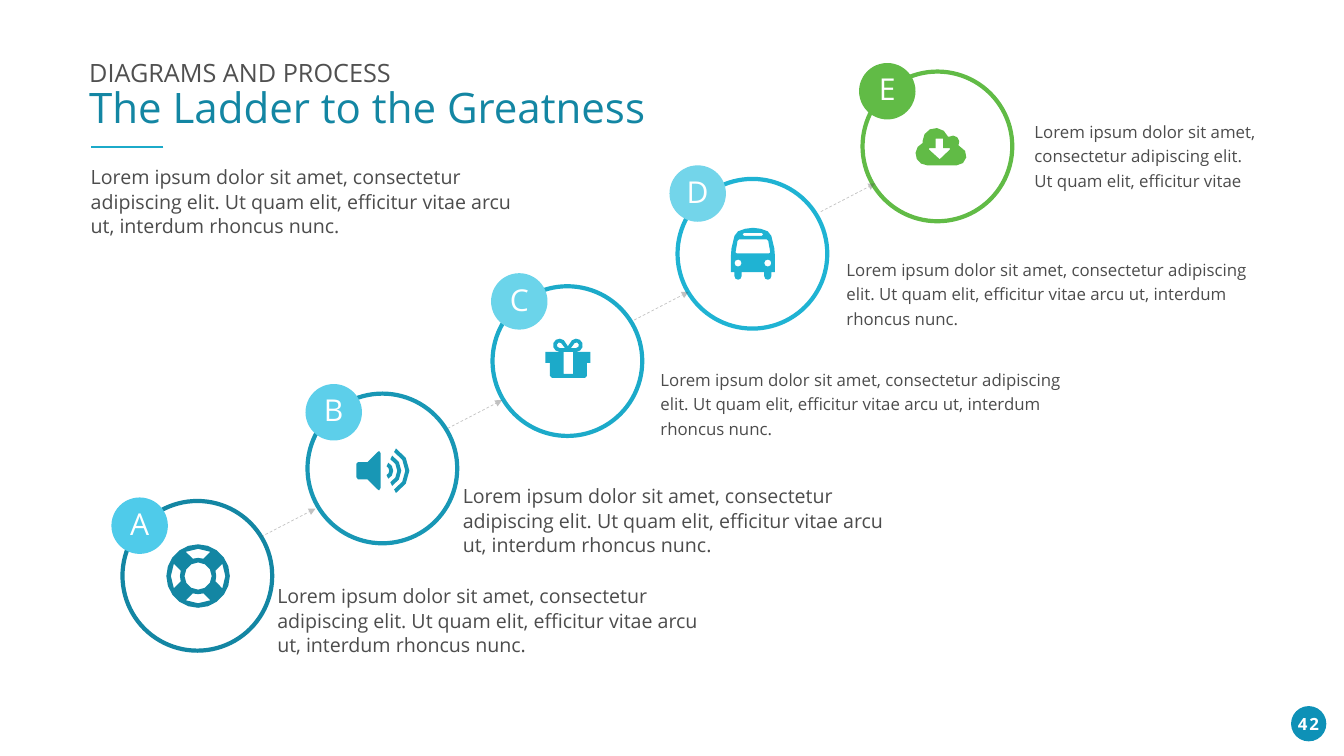
from math import cos, radians, sin

from lxml.etree import SubElement
from pptx import Presentation
from pptx.dml.color import RGBColor
from pptx.enum.dml import MSO_LINE
from pptx.enum.shapes import MSO_CONNECTOR, MSO_SHAPE
from pptx.enum.text import MSO_ANCHOR, MSO_AUTO_SIZE, PP_ALIGN
from pptx.oxml.ns import qn
from pptx.util import Inches, Pt

FONT = "Open Sans"
GREY, BODY_GREY, WHITE = "505050", "4C4C4C", "FFFFFF"
INTRO = ("Lorem ipsum dolor sit amet, consectetur adipiscing elit. "
         "Ut quam elit, efficitur vitae arcu ut, interdum rhoncus nunc.")
SHORT = "Lorem ipsum dolor sit amet, consectetur adipiscing elit. Ut quam elit, efficitur vitae"
RING, BADGE = 2.97, 1.12
FIRST_RING, RING_STEP = (2.43, 9.94), (3.67, -2.13)
FIRST_ARROW, ARROW_STEP, ARROW_REACH = (5.18, 10.65), (3.7, -2.15), (1.08, -0.56)


def arc(x, y, radius, start=0, end=360, count=4):
    """Return points on an arc, with angles running clockwise from the right."""
    angles = [radians(start + (end - start) * i / count) for i in range(count + 1)]
    return [(x + radius * cos(a), y + radius * sin(a)) for a in angles]


def disc(x, y, radius, count):
    """Return the points of a full circle without repeating the first."""
    return arc(x, y, radius, count=count)[:-1]


def band(x, y, outer, inner, middle, outer_half, inner_half, count):
    """Return the outline of a piece of a ring."""
    return (arc(x, y, outer, middle - outer_half, middle + outer_half, count)
            + arc(x, y, inner, middle + inner_half, middle - inner_half, count))


def mirror(points, axis):
    """Return points reflected across a vertical axis."""
    return [(2 * axis - x, y) for x, y in points]


BOW_AXIS, BUS_AXIS = 11.265, 14.935
bow = [arc(11.1, 6.85, 0.13, 90, 310, 6) + [(BOW_AXIS, 6.87), (BOW_AXIS, 6.98)],
       arc(11.1, 6.85, 0.055, 90, 300) + [(11.21, 6.91)]]
bus_half = [(14.94, 4.52), (14.78, 4.54), (14.64, 4.59), (14.57, 4.68), (14.51, 4.93),
            (14.5, 5.06), (14.5, 5.4), (14.57, 5.4), (14.57, 5.48), (14.59, 5.53),
            (14.64, 5.55), (14.69, 5.53), (14.71, 5.48), (14.71, 5.4)]

lifebuoy = [disc(3.93, 11.43, 0.63, 20), disc(3.93, 11.43, 0.27, 12)] + [
    band(3.93, 11.43, 0.54, 0.36, middle, 27, 17, 2) for middle in (0, 90, 180, 270)]
speaker = [[(7.07, 9.2), (7.1, 9.17), (7.29, 9.17), (7.49, 8.97), (7.52, 8.95), (7.55, 8.99),
            (7.55, 9.68), (7.52, 9.73), (7.49, 9.71), (7.29, 9.51), (7.1, 9.51), (7.07, 9.47)]] + [
    band(7.62, 9.34, radius, radius - 0.08, 0, 62, 62, 4) for radius in (0.18, 0.34, 0.5)]
gift = [[(10.82, 6.98), (11.71, 6.98), (11.71, 7.2), (11.64, 7.2), (11.64, 7.46), (11.6, 7.5),
         (10.95, 7.5), (10.91, 7.46), (10.91, 7.2), (10.82, 7.2)],
        [(11.18, 6.98), (11.37, 6.98), (11.37, 7.42), (11.18, 7.42)],
        *bow, *(mirror(part, BOW_AXIS) for part in bow)]
bus = [bus_half + mirror(bus_half[1:], BUS_AXIS)[::-1],
       [(14.66, 4.75), (15.21, 4.75), (15.24, 4.78), (15.28, 5.01), (15.25, 5.03),
        (14.62, 5.03), (14.59, 5.01), (14.63, 4.78)],
       arc(14.76, 4.65, 0.03, 90, 270, 2) + arc(15.11, 4.65, 0.03, -90, 90, 2),
       disc(14.64, 5.22, 0.07, 8), disc(15.23, 5.22, 0.07, 8)]
cloud = [arc(18.39, 3.05, 0.23, 90, 247, 5) + arc(18.56, 2.8, 0.26, 180, 340, 5)
         + arc(18.9, 2.82, 0.13, 235, 390) + arc(18.98, 3.09, 0.19, 290, 450),
         [(18.56, 2.75), (18.71, 2.75), (18.71, 2.94), (18.84, 2.94), (18.84, 2.97),
          (18.64, 3.16), (18.43, 2.97), (18.43, 2.94), (18.56, 2.94)]]

STEPS = [
    {"letter": "A", "color": "1386A3", "badge": ("4FCBEA", 2.21, 9.87), "icon": lifebuoy,
     "text": INTRO, "size": 28, "place": (5.5, 11.63, 8.52, 1.34)},
    {"letter": "B", "color": "1897B5", "badge": ("5DCFEA", 6.06, 7.62), "icon": speaker,
     "text": INTRO, "size": 28, "place": (9.18, 9.65, 8.52, 1.34)},
    {"letter": "C", "color": "1CAAC9", "badge": ("6BD4EA", 9.74, 5.42), "icon": gift,
     "text": INTRO, "size": 24, "place": (13.1, 7.3, 8.52, 1.34)},
    {"letter": "D", "color": "1FB3D3", "badge": ("73D5EA", 13.28, 3.28), "icon": bus,
     "text": INTRO, "size": 24, "place": (16.79, 5.12, 8.19, 1.34)},
    {"letter": "E", "color": "61BB46", "badge": ("61BB46", 17.04, 1.25), "icon": cloud,
     "text": SHORT, "size": 24, "place": (20.52, 2.38, 4.47, 1.34)},
]


def paint(target, color, alpha=None):
    """Give a fill a solid colour and an optional opacity in percent."""
    target.solid()
    target.fore_color.rgb = RGBColor.from_string(color)
    if alpha:
        for node in target._xPr.iter(qn("a:srgbClr")):
            SubElement(node, qn("a:alpha"), val=str(alpha * 1000))


def write(frame, lines, size=28, color=BODY_GREY, bold=False, align=PP_ALIGN.LEFT,
          anchor=MSO_ANCHOR.MIDDLE, spacing=Pt(35), wrap=True, inset=(0, 0), tracking=0):
    """Fill a text frame with (text, size, colour) lines or one plain string."""
    if isinstance(lines, str):
        lines = [(lines, size, color)]
    frame.word_wrap, frame.vertical_anchor = wrap, anchor
    frame.auto_size = MSO_AUTO_SIZE.NONE
    frame.margin_left = frame.margin_right = Inches(inset[0])
    frame.margin_top = frame.margin_bottom = Inches(inset[1])
    for i, (text, points, shade) in enumerate(lines):
        paragraph = frame.add_paragraph() if i else frame.paragraphs[0]
        paragraph.alignment, paragraph.line_spacing = align, spacing
        paragraph.space_before = Pt(0)
        run = paragraph.add_run()
        run.text = text
        run.font.name, run.font.size, run.font.bold = FONT, Pt(points), bold
        run.font.color.rgb = RGBColor.from_string(shade)
        if tracking:
            run.font._element.set("spc", str(tracking * 100))


def add_circle(shapes, left, top, size, fill, alpha=None, line=None):
    """Add a circle with an optional outline."""
    circle = shapes.add_shape(MSO_SHAPE.OVAL, *map(Inches, (left, top, size, size)))
    circle.shadow.inherit = False
    paint(circle.fill, fill, alpha)
    if line:
        paint(circle.line.fill, line)
        circle.line.width = Pt(6)
    else:
        circle.line.fill.background()
    return circle


def add_line(shapes, start, end, color, width, arrow=False):
    """Add a straight line, or a faint dashed arrow."""
    line = shapes.add_connector(MSO_CONNECTOR.STRAIGHT, *map(Inches, (*start, *end)))
    paint(line.line.fill, color, 34 if arrow else None)
    line.line.width = Pt(width)
    if arrow:
        line.line.dash_style = MSO_LINE.DASH
        SubElement(line.line._get_or_add_ln(), qn("a:tailEnd"), type="triangle", w="lg", len="lg")
    SubElement(line._element.spPr, qn("a:effectLst"))


def add_icon(shapes, outlines, color):
    """Add one filled freeform made of several closed outlines."""
    contours = [[(Inches(x), Inches(y)) for x, y in outline] for outline in outlines]
    builder = shapes.build_freeform(*contours[0][0])
    for i, contour in enumerate(contours):
        if i:
            builder.move_to(*contour[0])
        builder.add_line_segments(contour[1:], close=True)
    icon = builder.convert_to_shape()
    icon.shadow.inherit = False
    paint(icon.fill, color)
    icon.line.fill.background()


def add_text(shapes, place, text, **style):
    """Add a text box at a place."""
    write(shapes.add_textbox(*map(Inches, place)).text_frame, text, **style)


def main():
    """Build the slide and save it."""
    deck = Presentation()
    deck.slide_width, deck.slide_height = Inches(26.66), Inches(15)
    slide = deck.slides.add_slide(deck.slide_layouts[5])
    shapes, title = slide.shapes, slide.shapes.title
    title.left, title.top, title.width, title.height = map(Inches, (1.67, 1.15, 11.34, 1.56))
    write(title.text_frame, [("DIAGRAMS AND PROCESS", 36, GREY),
                             ("The Ladder to the Greatness", 60, "1386A3")],
          anchor=MSO_ANCHOR.TOP, spacing=0.9, wrap=False, inset=(0.1, 0.05))
    add_line(shapes, (3.24, 2.92), (1.8, 2.92), "1CAAC9", 3)
    add_text(shapes, (1.8, 3, 8.51, 1.97), INTRO)

    for i, step in enumerate(STEPS):
        left, top = (FIRST_RING[axis] + i * RING_STEP[axis] for axis in (0, 1))
        add_circle(shapes, left, top, RING, WHITE, 91, step["color"])
        if i:
            start = [FIRST_ARROW[axis] + (i - 1) * ARROW_STEP[axis] for axis in (0, 1)]
            end = [start[axis] + ARROW_REACH[axis] for axis in (0, 1)]
            add_line(shapes, start, end, GREY, 1, arrow=True)
        fill, badge_left, badge_top = step["badge"]
        badge = add_circle(shapes, badge_left, badge_top, BADGE, fill)
        write(badge.text_frame, step["letter"], size=43, color=WHITE,
              align=PP_ALIGN.CENTER, spacing=0.89, wrap=False)
        add_icon(shapes, step["icon"], step["color"])
        add_text(shapes, step["place"], step["text"], size=step["size"])

    add_circle(shapes, 25.61, 14.01, 0.7, "0E91B7")
    add_text(shapes, (25.56, 14.11, 0.79, 0.5), "42", size=24, color=WHITE, bold=True,
             align=PP_ALIGN.CENTER, spacing=1.0, tracking=3)
    deck.save("out.pptx")


if __name__ == "__main__":
    main()
